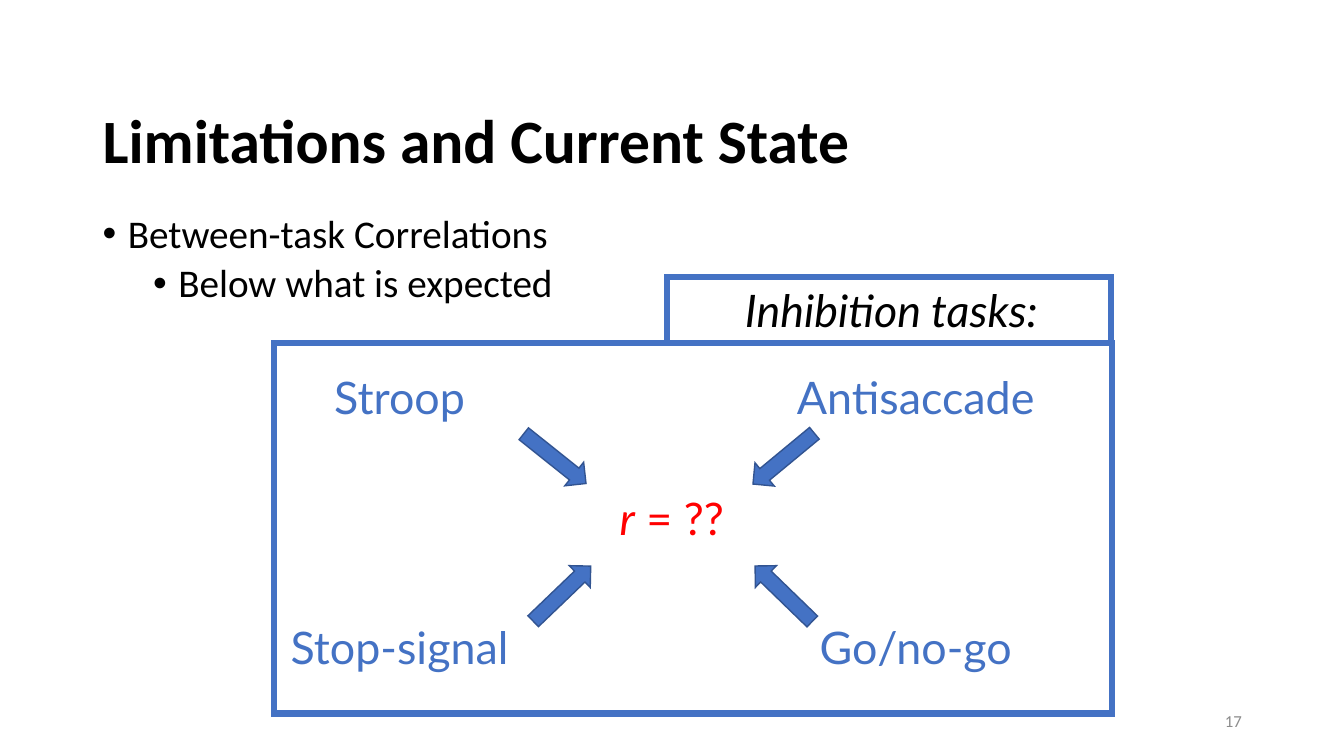
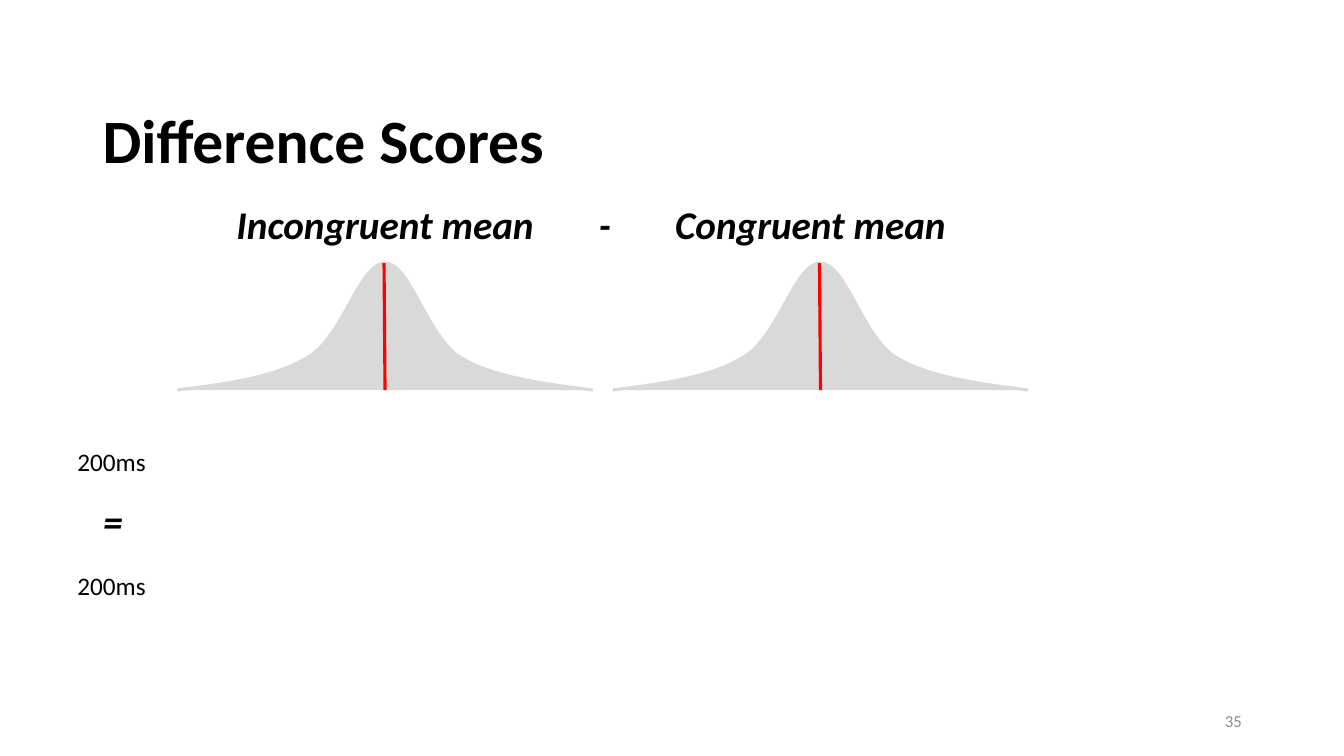
import pptx
import pptx.util
import pptx.dml.color
import pptx.enum.shapes
import pptx.enum.text
from lxml import etree
from pptx.util import Inches

# Shared style
BLUE, DARK_BLUE, RED = "4472C4", "325491", "FF0000"
BLACK, GRAY, CURVE_GRAY = "000000", "8C8C8C", "D9D9D9"
BODY_FONT, DIAGRAM_FONT = "Calibri", "Lato"
ALIGN = pptx.enum.text.PP_ALIGN
ANCHOR = pptx.enum.text.MSO_ANCHOR
SHAPE = pptx.enum.shapes.MSO_SHAPE
DRAWING = "{http://schemas.openxmlformats.org/drawingml/2006/main}"

# Bell curve as fractions of its box: a start point, then three points per cubic segment
BELL_START = (0, 1)
BELL_POINTS = [
    (0.12, 0.95), (0.24, 0.9), (0.32, 0.73),
    (0.4, 0.56), (0.44, 0), (0.5, 0),
    (0.56, 0), (0.6, 0.57), (0.68, 0.74),
    (0.76, 0.9), (0.88, 0.95), (1, 1),
]


def color(value):
    return pptx.dml.color.RGBColor.from_string(value)


def add_bullet(paragraph, left, hanging):
    properties = paragraph._p.get_or_add_pPr()
    properties.set("marL", str(Inches(left)))
    properties.set("indent", str(-Inches(hanging)))
    etree.SubElement(properties, DRAWING + "buFont", typeface="Arial")
    etree.SubElement(properties, DRAWING + "buChar", char="•")


def write_paragraph(paragraph, text, size=28, font=BODY_FONT, fill=BLACK, bold=False,
                    italic=False, align=ALIGN.LEFT, line_spacing=None, space_before=None):
    """Write text, a string or a list of (string, italic) pairs."""
    paragraph.alignment = align
    if line_spacing:
        paragraph.line_spacing = line_spacing
    if space_before:
        paragraph.space_before = pptx.util.Pt(space_before)
    for words, slanted in [(text, italic)] if isinstance(text, str) else text:
        run = paragraph.add_run()
        run.text = words
        run.font.name = font
        run.font.size = pptx.util.Pt(size)
        run.font.bold = bold
        run.font.italic = slanted
        run.font.color.rgb = color(fill)


def add_text(slide, text, left, top, width, height, anchor=ANCHOR.TOP, wrap=True, **style):
    box = slide.shapes.add_textbox(*map(Inches, (left, top, width, height)))
    box.text_frame.word_wrap = wrap
    box.text_frame.vertical_anchor = anchor
    write_paragraph(box.text_frame.paragraphs[0], text, **style)


def style_shape(shape, fill, line, line_width):
    shape.shadow.inherit = False
    if fill:
        shape.fill.solid()
        shape.fill.fore_color.rgb = color(fill)
    else:
        shape.fill.background()
    shape.line.color.rgb = color(line)
    shape.line.width = pptx.util.Pt(line_width)
    # Square corners
    etree.SubElement(shape.line._get_or_add_ln(), DRAWING + "miter", lim="800000")


def add_shape(slide, kind, left, top, width, height, fill=None, line=BLUE, line_width=4.5,
              rotation=0):
    shape = slide.shapes.add_shape(kind, *map(Inches, (left, top, width, height)))
    shape.rotation = rotation
    style_shape(shape, fill, line, line_width)


def add_slide(presentation, title, number):
    slide = presentation.slides.add_slide(presentation.slide_layouts[6])
    add_text(slide, title, 0.92, 1.05, 11, 1.03, size=44, bold=True, line_spacing=0.9)
    add_text(slide, str(number), 9.42, 6.95, 3, 0.4, anchor=ANCHOR.MIDDLE,
             size=12, fill=GRAY, align=ALIGN.RIGHT)
    return slide


def add_bullets(slide, items, left, top, width, height):
    box = slide.shapes.add_textbox(*map(Inches, (left, top, width, height)))
    frame = box.text_frame
    frame.word_wrap = True
    for index, (text, level) in enumerate(items):
        paragraph = frame.add_paragraph() if index else frame.paragraphs[0]
        paragraph.level = level
        add_bullet(paragraph, 0.25 + 0.5 * level, 0.25)
        write_paragraph(paragraph, text, line_spacing=0.9, space_before=5 if index else None)


def add_task_diagram(slide, left, top, width, height):
    label = dict(size=32, font=DIAGRAM_FONT, align=ALIGN.CENTER)
    label_width, label_height = 3.31, 0.64

    # Tasks in the corners, correlation in the middle
    tasks = [["Stroop", "Antisaccade"], ["Stop-signal", "Go/no-go"]]
    for row, names in enumerate(tasks):
        for column, name in enumerate(names):
            add_text(slide, name, left - 0.41 + 5.12 * column, top + 0.22 + 2.48 * row,
                     label_width, label_height, fill=BLUE, **label)
    add_text(slide, [("r", True), (" = ??", False)], left + 2.29, top + 1.42,
             label_width, label_height, fill=RED, **label)

    # Arrows pointing to the middle
    for x, y, rotation in [(2.39, 1, 38.6), (4.66, 1, 140.4),
                           (2.46, 2.34, 316.2), (4.66, 2.34, 224.1)]:
        add_shape(slide, SHAPE.RIGHT_ARROW, left + x, top + y, 0.79, 0.3, fill=BLUE,
                  line=DARK_BLUE, line_width=1, rotation=rotation)

    # Frame with its heading tab at the top right
    tab_width, tab_height = 4.4, 0.65
    tab_left, tab_top = left + width - tab_width - 0.01, top - tab_height
    add_shape(slide, SHAPE.RECTANGLE, left, top, width, height)
    add_shape(slide, SHAPE.RECTANGLE, tab_left, tab_top, tab_width, tab_height)
    add_text(slide, "Inhibition tasks:", tab_left, tab_top + 0.01, tab_width + 0.05,
             label_height, italic=True, **label)


def curve_segments(shape):
    """Turn every three straight segments of a freeform into one cubic segment."""
    lines = list(shape._element.iter(DRAWING + "lnTo"))
    for first, second, third in zip(lines[::3], lines[1::3], lines[2::3]):
        cubic = etree.Element(DRAWING + "cubicBezTo")
        first.addprevious(cubic)
        for line in (first, second, third):
            cubic.append(line[0])
            line.getparent().remove(line)


def add_distribution(slide, left, top, width, height):
    def place(point):
        return Inches(left + width * point[0]), Inches(top + height * point[1])

    # Curve
    builder = slide.shapes.build_freeform(*place(BELL_START))
    builder.add_line_segments([place(point) for point in BELL_POINTS], close=False)
    curve = builder.convert_to_shape()
    curve_segments(curve)
    style_shape(curve, CURVE_GRAY, CURVE_GRAY, 2.25)

    # Mean line
    middle = left + width / 2
    line = slide.shapes.add_connector(
        pptx.enum.shapes.MSO_CONNECTOR.STRAIGHT,
        *map(Inches, (middle - 0.01, top, middle, top + height)))
    line.line.color.rgb = color(RED)
    line.line.width = pptx.util.Pt(2.25)
    etree.SubElement(line._element.spPr, DRAWING + "effectLst")


def add_difference(slide, left, top):
    heading = dict(bold=True, italic=True, align=ALIGN.CENTER)
    width = 4.12

    # Two distributions under their headings
    for text, heading_x, curve_x in [("Incongruent mean", 0, 0), ("Congruent mean", 4.22, 4.32)]:
        add_distribution(slide, left + curve_x, top + 0.67, width, 1.26)
        add_text(slide, text, left + heading_x, top, width, 0.57, **heading)
    add_text(slide, "-", left + 2.18, top, width, 0.57, **heading)


def add_equation(slide, left, top):
    for y in (0, 1.23):
        add_text(slide, "200ms", left, top + y, 0.89, 0.4, wrap=False, size=18)
    add_text(slide, "=", left + 0.1, top + 0.5, 0.7, 0.57, bold=True, italic=True,
             align=ALIGN.CENTER)


def main():
    presentation = pptx.Presentation()
    presentation.slide_width = Inches(40 / 3)
    presentation.slide_height = Inches(7.5)

    slide = add_slide(presentation, "Limitations and Current State", 17)
    add_bullets(slide, [("Between-task Correlations", 0), ("Below what is expected", 1)],
                0.92, 2.08, 10.35, 4.37)
    add_task_diagram(slide, 2.72, 3.4, 8.31, 3.68)

    slide = add_slide(presentation, "Difference Scores", 35)
    add_difference(slide, 1.76, 1.94)
    add_equation(slide, 0.67, 4.38)

    presentation.save("out.pptx")


if __name__ == "__main__":
    main()
